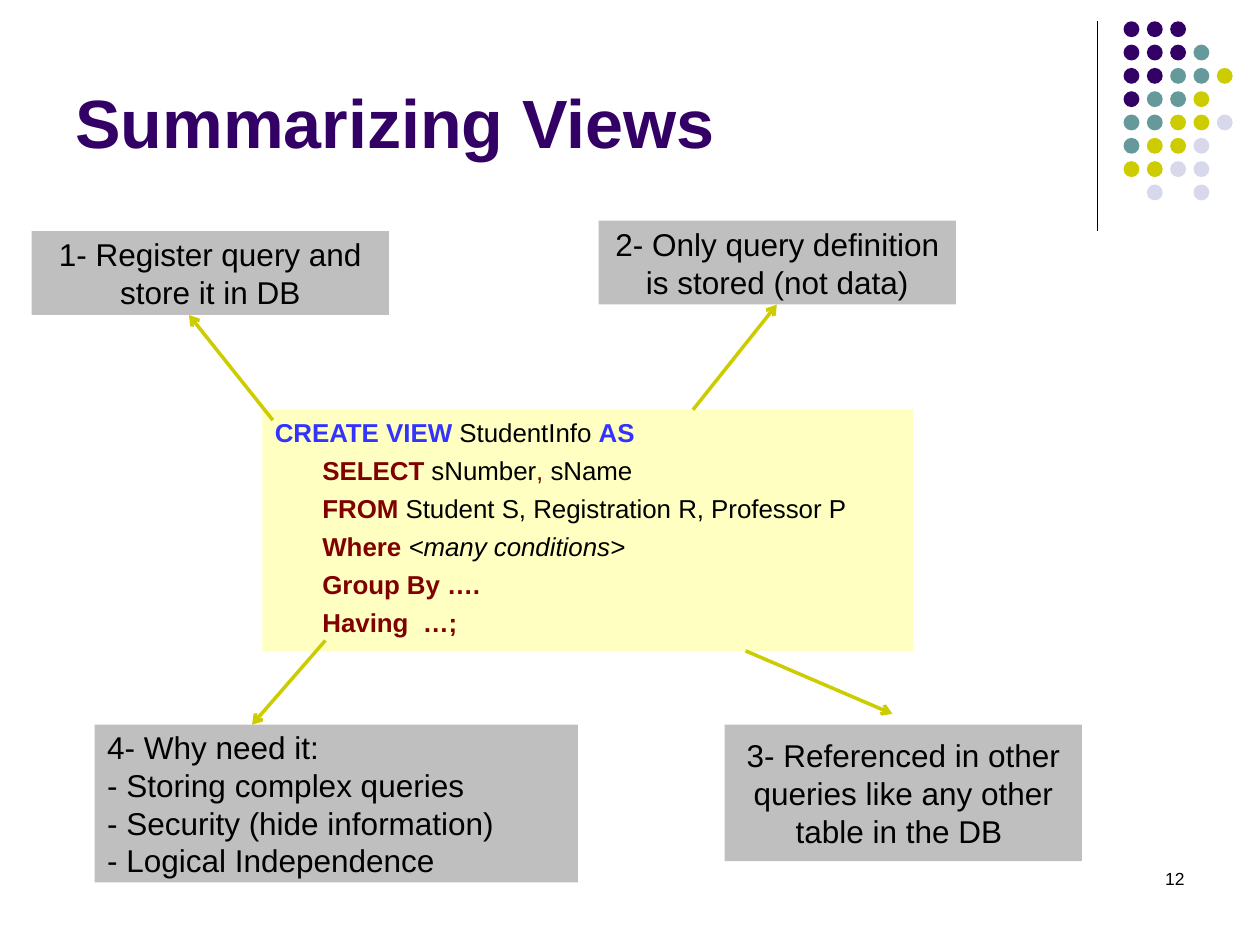
"""Build the "Summarizing Views" slide."""
from dataclasses import dataclass

from lxml.etree import SubElement
from pptx import Presentation
from pptx.dml.color import RGBColor
from pptx.enum.shapes import MSO_CONNECTOR as Connector, MSO_SHAPE as Preset
from pptx.enum.text import MSO_ANCHOR as Anchor, MSO_AUTO_SIZE as AutoSize, PP_ALIGN as Align
from pptx.oxml.ns import qn
from pptx.util import Cm, Pt


@dataclass(frozen=True)
class Theme:
    """Colours and type sizes of the deck."""
    font: str = "Arial"
    title: str = "330066"
    text: str = "000000"
    keyword: str = "3333FF"
    clause: str = "800000"
    teal: str = "669999"
    accent: str = "CCCC00"
    pale: str = "D8D8EC"
    note: str = "BFBFBF"
    code: str = "FFFFC2"
    title_size: float = 39
    note_size: float = 18
    code_size: float = 14.8
    number_size: float = 10


def apply(target, values):
    """Set each named attribute on the target."""
    for name, value in values.items():
        setattr(target, name, value)


class SlideBuilder:
    """Draws styled elements on the current slide."""

    def __init__(self, slide, theme):
        """Keep the slide and its theme."""
        self.slide = slide
        self.theme = theme

    def frame(self, shape, **values):
        """Format the text frame of a shape and return it."""
        layout = {"word_wrap": True, "auto_size": AutoSize.NONE,
                  "margin_left": Cm(0.25), "margin_right": Cm(0.25),
                  "margin_top": Cm(0.13), "margin_bottom": Cm(0.13)}
        apply(shape.text_frame, layout | values)
        return shape.text_frame

    def add_text(self, paragraph, text, size, color, **values):
        """Add one formatted run to a paragraph."""
        run = paragraph.add_run()
        run.text = text
        apply(run.font, {"name": self.theme.font, "size": Pt(size)} | values)
        run.font.color.rgb = RGBColor.from_string(color)

    def title(self, text, box):
        """Place and fill the title placeholder."""
        shape = self.slide.shapes.title
        apply(shape, dict(zip(("left", "top", "width", "height"), map(Cm, box))))
        paragraph = self.frame(shape, vertical_anchor=Anchor.BOTTOM).paragraphs[0]
        paragraph.alignment = Align.LEFT
        self.add_text(paragraph, text, self.theme.title_size, self.theme.title, bold=True)

    def number(self, text, box):
        """Add the slide number."""
        shape = self.slide.shapes.add_textbox(*map(Cm, box))
        paragraph = self.frame(shape).paragraphs[0]
        paragraph.alignment = Align.RIGHT
        self.add_text(paragraph, text, self.theme.number_size, self.theme.text)

    def panel(self, preset, box, color):
        """Add a plain filled shape."""
        shape = self.slide.shapes.add_shape(preset, *map(Cm, box))
        shape.shadow.inherit = False
        shape.fill.solid()
        shape.fill.fore_color.rgb = RGBColor.from_string(color)
        shape.line.fill.background()
        return shape

    def line(self, start, end, color, width, arrow=False):
        """Add a straight line, with an arrowhead at its end if asked."""
        connector = self.slide.shapes.add_connector(Connector.STRAIGHT, *map(Cm, start + end))
        connector.line.color.rgb = RGBColor.from_string(color)
        connector.line.width = Pt(width)
        properties = connector._element.spPr
        if arrow:
            SubElement(properties.find(qn("a:ln")), qn("a:tailEnd"), type="arrow")
        SubElement(properties, qn("a:effectLst"))

    def dots(self, rows, left, top, pitch, size):
        """Add the corner ornament from rows of colour letters."""
        theme = self.theme
        colors = {"P": theme.title, "T": theme.teal, "Y": theme.accent, "L": theme.pale}
        for row, letters in enumerate(rows):
            for column, letter in enumerate(letters):
                if letter in colors:
                    box = (left + column * pitch, top + row * pitch, size, size)
                    self.panel(Preset.OVAL, box, colors[letter])

    def note(self, lines, box, align):
        """Add a grey note with one paragraph for each line."""
        shape = self.panel(Preset.RECTANGLE, box, self.theme.note)
        frame = self.frame(shape, vertical_anchor=Anchor.MIDDLE)
        for index, text in enumerate(lines):
            paragraph = frame.add_paragraph() if index else frame.paragraphs[0]
            paragraph.alignment = align
            self.add_text(paragraph, text, self.theme.note_size, self.theme.text)

    def code(self, lines, box, indent):
        """Add the query panel, with every line after the first indented."""
        shape = self.panel(Preset.RECTANGLE, box, self.theme.code)
        frame = self.frame(shape, vertical_anchor=Anchor.TOP)
        for index, runs in enumerate(lines):
            paragraph = frame.add_paragraph() if index else frame.paragraphs[0]
            level = min(index, 1)
            apply(paragraph, {"alignment": Align.LEFT, "level": level,
                              "space_before": Pt(4 * level)})
            properties = paragraph._p.get_or_add_pPr()
            properties.set("marL", str(Cm(indent * (level + 1))))
            properties.set("indent", str(Cm(-indent)))
            for text, color, values in runs:
                self.add_text(paragraph, text, self.theme.code_size, color, **values)


def main():
    """Build and save the presentation."""
    theme = Theme()
    presentation = Presentation()
    apply(presentation, {"slide_width": Cm(25.4), "slide_height": Cm(19.05)})
    slide = presentation.slides.add_slide(presentation.slide_layouts[5])
    builder = SlideBuilder(slide, theme)

    builder.line((22.12, 0.43), (22.12, 4.66), theme.text, 0.75)
    builder.dots(("PPP", "PPPT", "PPTTY", "PTTY", "TTYYL", "TYYL", "YYLL", " L L"),
                 left=22.65, top=0.43, pitch=0.47, size=0.32)
    builder.title("Summarizing Views", (1.27, 0.34, 20.96, 3.05))
    builder.number("12", (18.21, 17.36, 5.92, 1.27))

    bold, plain = {"bold": True}, {"bold": False}
    builder.code((
        (("CREATE VIEW ", theme.keyword, bold), ("StudentInfo ", theme.text, plain),
         ("AS", theme.keyword, bold)),
        (("SELECT ", theme.clause, bold), ("sNumber", theme.text, plain),
         (", ", theme.clause, plain), ("sName", theme.text, plain)),
        (("FROM ", theme.clause, bold),
         ("Student S, Registration R, Professor P", theme.text, plain)),
        (("Where ", theme.clause, bold),
         ("<many conditions>", theme.text, {"bold": False, "italic": True})),
        (("Group By ….", theme.clause, bold),),
        (("Having  …;", theme.clause, bold),),
    ), (5.29, 8.26, 13.12, 4.87), indent=0.96)

    notes = (
        (("1- Register query and store it in DB",),
         (0.64, 4.66, 7.2, 1.69), Align.CENTER, (5.5, 8.47), (3.81, 6.35)),
        (("2- Only query definition is stored (not data)",),
         (12.07, 4.45, 7.2, 1.69), Align.CENTER, (13.97, 8.26), (15.66, 6.14)),
        (("3- Referenced in other queries like any other table in the DB ",),
         (14.61, 14.61, 7.2, 2.75), Align.CENTER, (15.03, 13.12), (17.99, 14.39)),
        (("4- Why need it:", "- Storing complex queries",
          "- Security (hide information)", "- Logical Independence"),
         (1.91, 14.61, 9.74, 3.18), Align.LEFT, (6.56, 12.91), (5.08, 14.61)),
    )
    for lines, box, align, start, end in notes:
        builder.line(start, end, theme.accent, 2, arrow=True)
        builder.note(lines, box, align)

    presentation.save("out.pptx")


if __name__ == "__main__":
    main()
